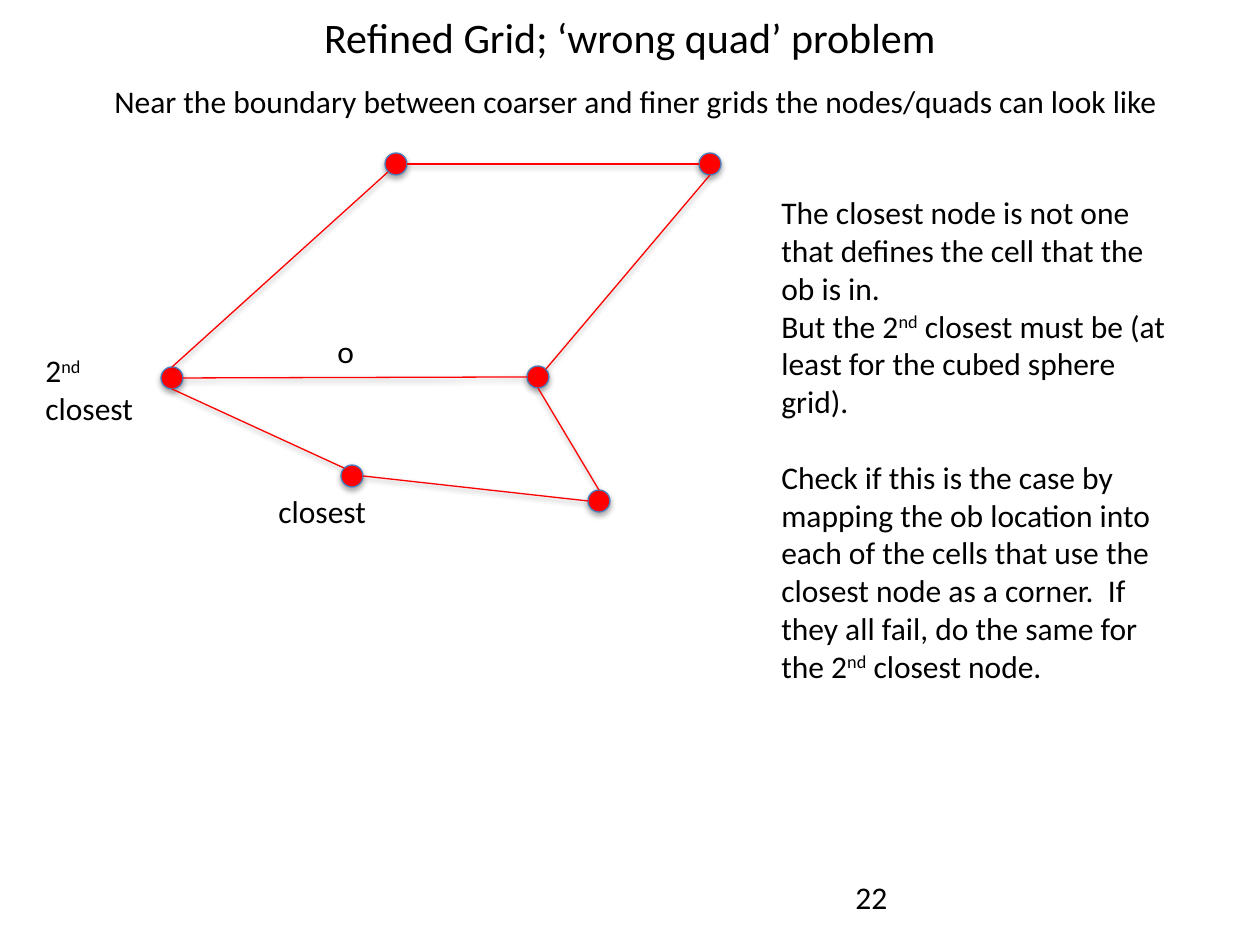
"""Build the slide on the 'wrong quad' problem in a refined grid."""
from lxml import etree
from pptx import Presentation
from pptx import util as u
from pptx.dml.color import RGBColor
from pptx.enum import shapes, text
from pptx.oxml.ns import qn

PX = 914400 // 126
RADIUS = 11
DIAGONAL = 8
COLOURS = {"text": "000000", "node": "FF0000", "outline": "4B7EBC", "shadow": "000000"}
NODES = {
    "second": (172, 378),
    "upper_left": (396, 164),
    "upper_right": (710, 164),
    "middle": (538, 377),
    "closest": (352, 476),
    "lower": (599, 501),
}
SITES = {
    "top": (0, -RADIUS),
    "bottom": (0, RADIUS),
    "left": (-RADIUS, 0),
    "right": (RADIUS, 0),
    "top_left": (-DIAGONAL, -DIAGONAL),
    "top_right": (DIAGONAL, -DIAGONAL),
    "bottom_left": (-DIAGONAL, DIAGONAL),
}
EDGES = [
    ("upper_left", "right", "upper_right", "left"),
    ("middle", "top_right", "upper_right", "bottom"),
    ("closest", "right", "lower", "left"),
    ("middle", "bottom", "lower", "top"),
    ("second", "bottom", "closest", "top_left"),
    ("second", "right", "middle", "left"),
    ("second", "top", "upper_left", "bottom_left"),
]
EXPLANATION = [
    "The closest node is not one",
    "that defines the cell that the",
    "ob is in.",
    "But the 2^nd^ closest must be (at least for the cubed sphere grid).",
    "Check if this is the case by mapping the ob location into each of the cells "
    "that use the closest node as a corner.  If they all fail, do the same for "
    "the 2^nd^ closest node.",
]


def colour(name):
    """Return the named colour."""
    return RGBColor.from_string(COLOURS[name])


def px(*lengths):
    """Turn whole pixels into EMU."""
    return [length * PX for length in lengths]


def add_shadow(figure, distance, opacity):
    """Give a node or an edge a soft shadow below it."""
    effects = etree.SubElement(figure._element.spPr, qn("a:effectLst"))
    outer = etree.SubElement(effects, qn("a:outerShdw"), blurRad="40000",
                             dist=str(distance), dir="5400000", rotWithShape="0")
    tint = etree.SubElement(outer, qn("a:srgbClr"), val=COLOURS["shadow"])
    etree.SubElement(tint, qn("a:alpha"), val=str(opacity * 1000))


def add_node(slide, centre):
    """Draw a grid node around its centre."""
    x, y = centre
    node = slide.shapes.add_shape(shapes.MSO_SHAPE.OVAL,
                                  *px(x - RADIUS, y - RADIUS, 2 * RADIUS, 2 * RADIUS))
    node.fill.solid()
    node.fill.fore_color.rgb = colour("node")
    node.line.color.rgb = colour("outline")
    node.line.width = u.Pt(0.75)
    add_shadow(node, 23000, 35)


def add_edge(slide, start, start_site, end, end_site):
    """Draw a quad edge between the sites of two nodes."""
    ends = [at + offset
            for node, site in ((start, start_site), (end, end_site))
            for at, offset in zip(NODES[node], SITES[site])]
    edge = slide.shapes.add_connector(shapes.MSO_CONNECTOR.STRAIGHT, *px(*ends))
    edge.line.color.rgb = colour("node")
    edge.line.width = u.Pt(0.75)
    add_shadow(edge, 20000, 38)


def add_text(slide, box, lines, size=18, wrap=True):
    """Write paragraphs, with ^marked^ parts as superscript."""
    frame = slide.shapes.add_textbox(*px(*box)).text_frame
    frame.word_wrap = wrap
    for index, line in enumerate(lines):
        paragraph = frame.add_paragraph() if index else frame.paragraphs[0]
        for part, wording in enumerate(line.split("^")):
            run = paragraph.add_run()
            run.text = wording
            run.font.size = u.Pt(size)
            run.font.name = "Calibri"
            run.font.color.rgb = colour("text")
            if part % 2:
                run._r.get_or_add_rPr().set("baseline", "30000")
    return frame


def main():
    """Build and save the slide."""
    deck = Presentation()
    deck.slide_width, deck.slide_height = u.Inches(10), u.Inches(7.5)
    slide = deck.slides.add_slide(deck.slide_layouts[6])

    title = add_text(slide, (63, 0, 1134, 73), ["Refined Grid; ‘wrong quad’ problem"], 24)
    title.vertical_anchor = text.MSO_ANCHOR.MIDDLE
    title.paragraphs[0].alignment = text.PP_ALIGN.CENTER
    add_text(slide, (843, 872, 60, 50), ["22"])
    add_text(slide, (102, 76, 1081, 50),
             ["Near the boundary between coarser and finer grids the nodes/quads can look like"],
             wrap=False)

    for centre in NODES.values():
        add_node(slide, centre)
    for edge in EDGES:
        add_edge(slide, *edge)

    add_text(slide, (325, 326, 40, 50), ["o"])
    add_text(slide, (266, 486, 115, 50), ["closest"], wrap=False)
    add_text(slide, (33, 345, 115, 89), ["2^nd^", "closest"], wrap=False)
    explanation = add_text(slide, (769, 187, 414, 509), EXPLANATION)
    explanation.paragraphs[-1].space_before = u.Pt(21.6)

    deck.save("out.pptx")


if __name__ == "__main__":
    main()
